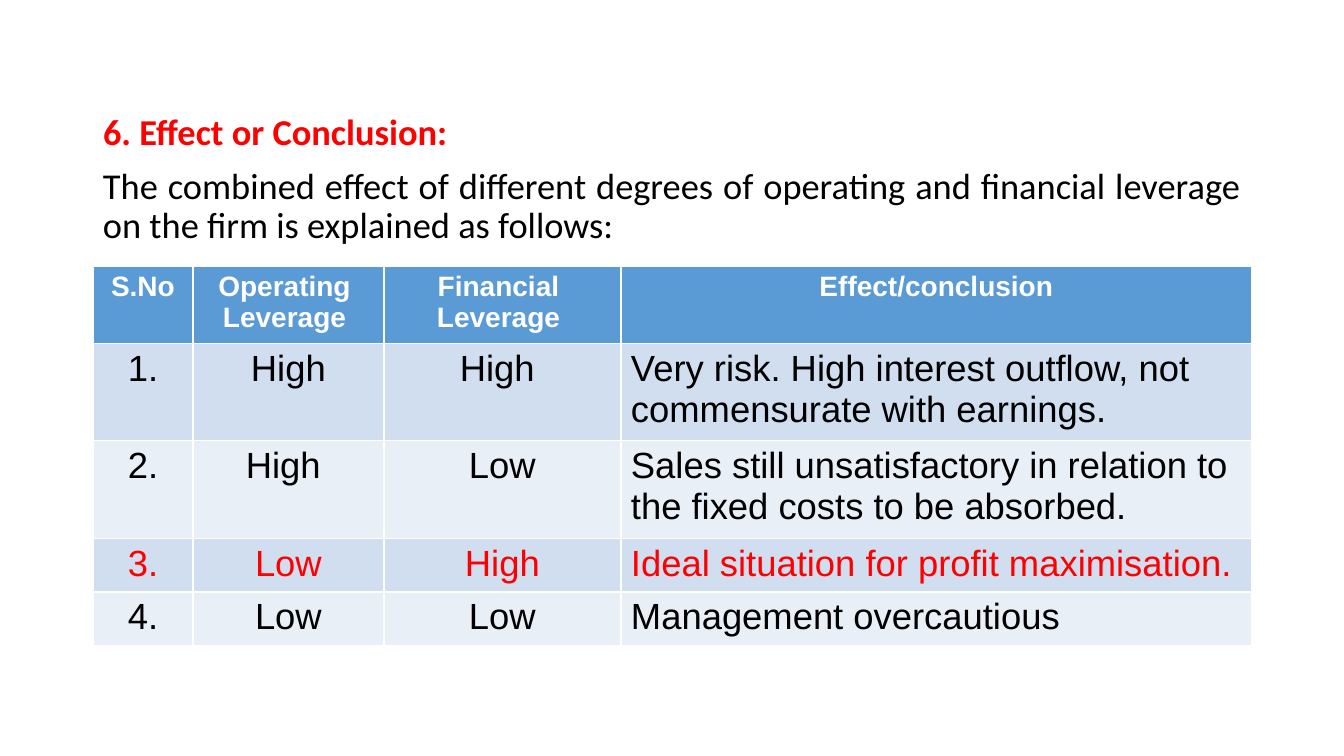
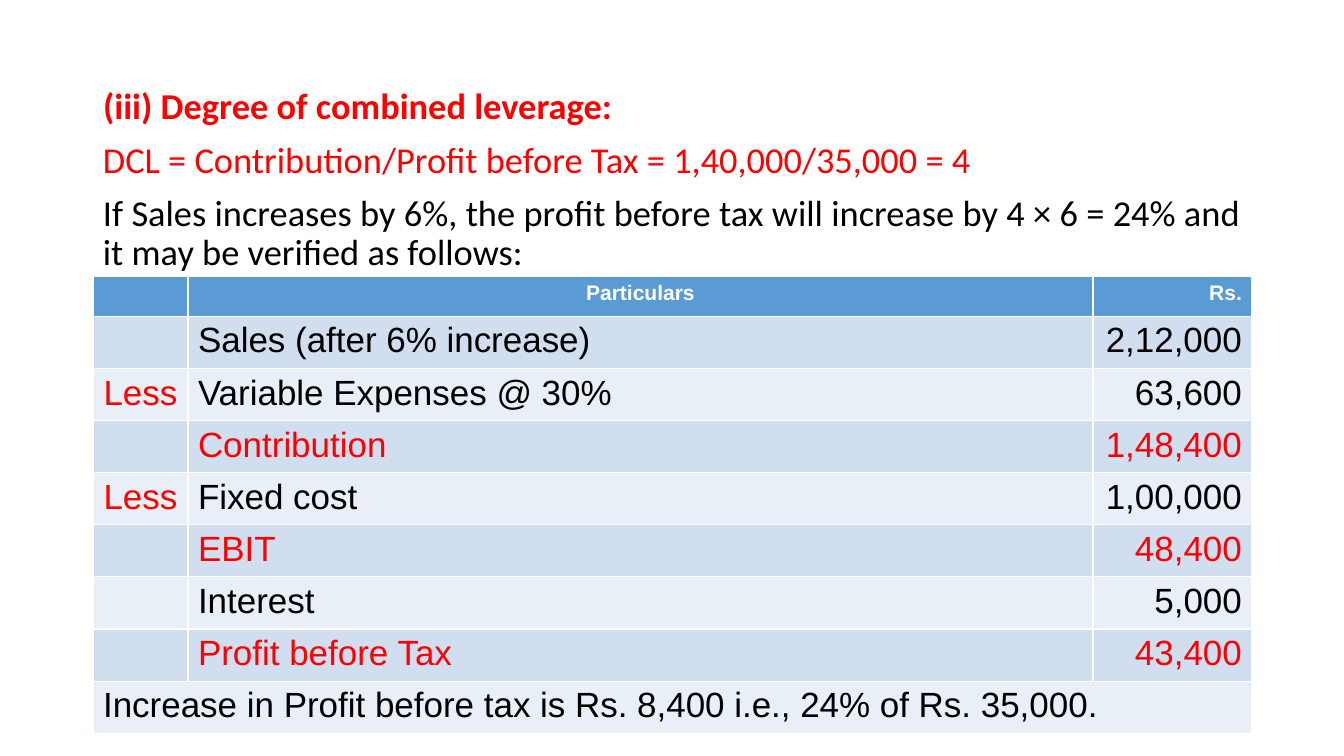
from pptx import Presentation
from pptx.dml.color import RGBColor
from pptx.enum.text import MSO_ANCHOR, MSO_AUTO_SIZE, PP_ALIGN
from pptx.util import Emu, Pt

LEFT, CENTER = PP_ALIGN.LEFT, PP_ALIGN.CENTER
RIGHT, JUSTIFY = PP_ALIGN.RIGHT, PP_ALIGN.JUSTIFY
TOP = MSO_ANCHOR.TOP
NO_FIT = MSO_AUTO_SIZE.NONE

SLIDE_W, SLIDE_H = 1344, 756
EMU_PER_PX = 12192000 / SLIDE_W
MARGIN, CONTENT_W = 93, 1159
TITLE_H = 54
TITLE_ONLY = 5

COLORS = {
    "red": "FF0000",
    "black": "000000",
    "white": "FFFFFF",
    "header": "5B9BD5",
    "odd_row": "D0DEEF",
    "even_row": "E9EFF7",
}


def px(n):
    return Emu(round(n * EMU_PER_PX))


def rgb(name):
    return RGBColor.from_string(COLORS[name])


def style_paragraph(p, font, size, color, bold=False, align=LEFT):
    p.alignment = align
    for r in p.runs:
        r.font.name = font
        r.font.size = Pt(size)
        r.font.bold = bold
        r.font.color.rgb = rgb(color)


def prose(p, color, bold=False):
    style_paragraph(p, "Calibri", 26, color, bold, JUSTIFY)
    p.line_spacing = 0.9


def add_title(s, text, y):
    sp = s.shapes.title
    sp.left, sp.top, sp.width, sp.height = (
        px(v) for v in (MARGIN, y, CONTENT_W, TITLE_H))
    tf = sp.text_frame
    tf.text = text
    tf.auto_size = NO_FIT
    tf.vertical_anchor = TOP
    prose(tf.paragraphs[0], "red", True)


def add_intro(s, lines, y, h):
    """Paragraphs between the title and the table, as (text, color) pairs."""
    sp = s.shapes.add_textbox(px(MARGIN), px(y), px(CONTENT_W), px(h))
    tf = sp.text_frame
    tf.word_wrap = True
    tf.text = "\n".join(text for text, _ in lines)
    for i, (p, (_, color)) in enumerate(zip(tf.paragraphs, lines)):
        prose(p, color)
        if i:
            p.space_before = Pt(10)


def add_table(s, y, widths, heights, rows, aligns, sizes, red_rows):
    """A row with a single entry spans all columns."""
    header_size, body_size = sizes
    frame = s.shapes.add_table(len(rows), len(widths), px(MARGIN), px(y),
                               px(sum(widths)), px(sum(heights)))
    table = frame.table
    for col, w in zip(table.columns, widths):
        col.width = px(w)
    for row, h in zip(table.rows, heights):
        row.height = px(h)

    for i, texts in enumerate(rows):
        fill = "header" if i == 0 else "odd_row" if i % 2 else "even_row"
        for j in range(len(widths)):
            cell = table.cell(i, j)
            cell.fill.solid()
            cell.fill.fore_color.rgb = rgb(fill)
        spans = len(texts) == 1
        if spans:
            table.cell(i, 0).merge(table.cell(i, len(widths) - 1))
        for j, text in enumerate(texts):
            if not text:
                continue
            tf = table.cell(i, j).text_frame
            tf.text = text
            for p in tf.paragraphs:
                if i == 0:
                    align = aligns[j] if aligns[j] == RIGHT else CENTER
                    style_paragraph(p, "Arial", header_size, "white", True, align)
                else:
                    red = i in red_rows or text == "Less"
                    style_paragraph(p, "Arial", body_size,
                                    "red" if red else "black",
                                    align=LEFT if spans else aligns[j])


def add_table_slide(prs, title, title_y, intro, table_y, **table):
    s = prs.slides.add_slide(prs.slide_layouts[TITLE_ONLY])
    intro_y = title_y + TITLE_H
    add_title(s, title, title_y)
    add_intro(s, intro, intro_y, table_y - intro_y)
    add_table(s, table_y, **table)


def main():
    prs = Presentation()
    prs.slide_width, prs.slide_height = px(SLIDE_W), px(SLIDE_H)

    # Effect of combined leverage
    add_table_slide(
        prs, "6. Effect or Conclusion:", 109,
        [("The combined effect of different degrees of operating and financial "
          "leverage on the firm is explained as follows:", "black")],
        266,
        widths=[100, 191, 237, 631],
        heights=[72, 91, 91, 50, 50],
        rows=[
            ["S.No", "Operating \nLeverage ", "Financial \nLeverage ",
             "Effect/conclusion"],
            ["1.", "High", "High ", "Very risk. High interest outflow, not "
             "commensurate with earnings."],
            ["2.", "High ", "Low", "Sales still unsatisfactory in relation to "
             "the fixed costs to be absorbed."],
            ["3.", "Low", "High", "Ideal situation for profit maximisation."],
            ["4.", "Low", "Low", "Management overcautious"],
        ],
        aligns=[CENTER, CENTER, CENTER, LEFT],
        sizes=(20, 26),
        red_rows={3},
    )

    # Degree of combined leverage
    add_table_slide(
        prs, "(iii) Degree of combined leverage: ", 83,
        [("DCL = Contribution/Profit before Tax = 1,40,000/35,000 = 4 ", "red"),
         ("If Sales increases by 6%, the profit before tax will increase by "
          "4 × 6 = 24% and it may be verified as follows: ", "black")],
        276,
        widths=[95, 905, 159],
        heights=[38] + [49] * 8,
        rows=[
            ["", "Particulars", "Rs."],
            ["", "Sales (after 6% increase)", "2,12,000"],
            ["Less", "Variable Expenses @ 30%", "63,600"],
            ["", "Contribution", "1,48,400"],
            ["Less", "Fixed cost", "1,00,000"],
            ["", "EBIT", "48,400"],
            ["", "Interest", "5,000"],
            ["", "Profit before Tax", "43,400"],
            ["Increase in Profit before tax is Rs. 8,400 i.e., 24% of "
             "Rs. 35,000."],
        ],
        aligns=[CENTER, LEFT, RIGHT],
        sizes=(15, 25),
        red_rows={3, 5, 7},
    )

    prs.save("out.pptx")


if __name__ == "__main__":
    main()
